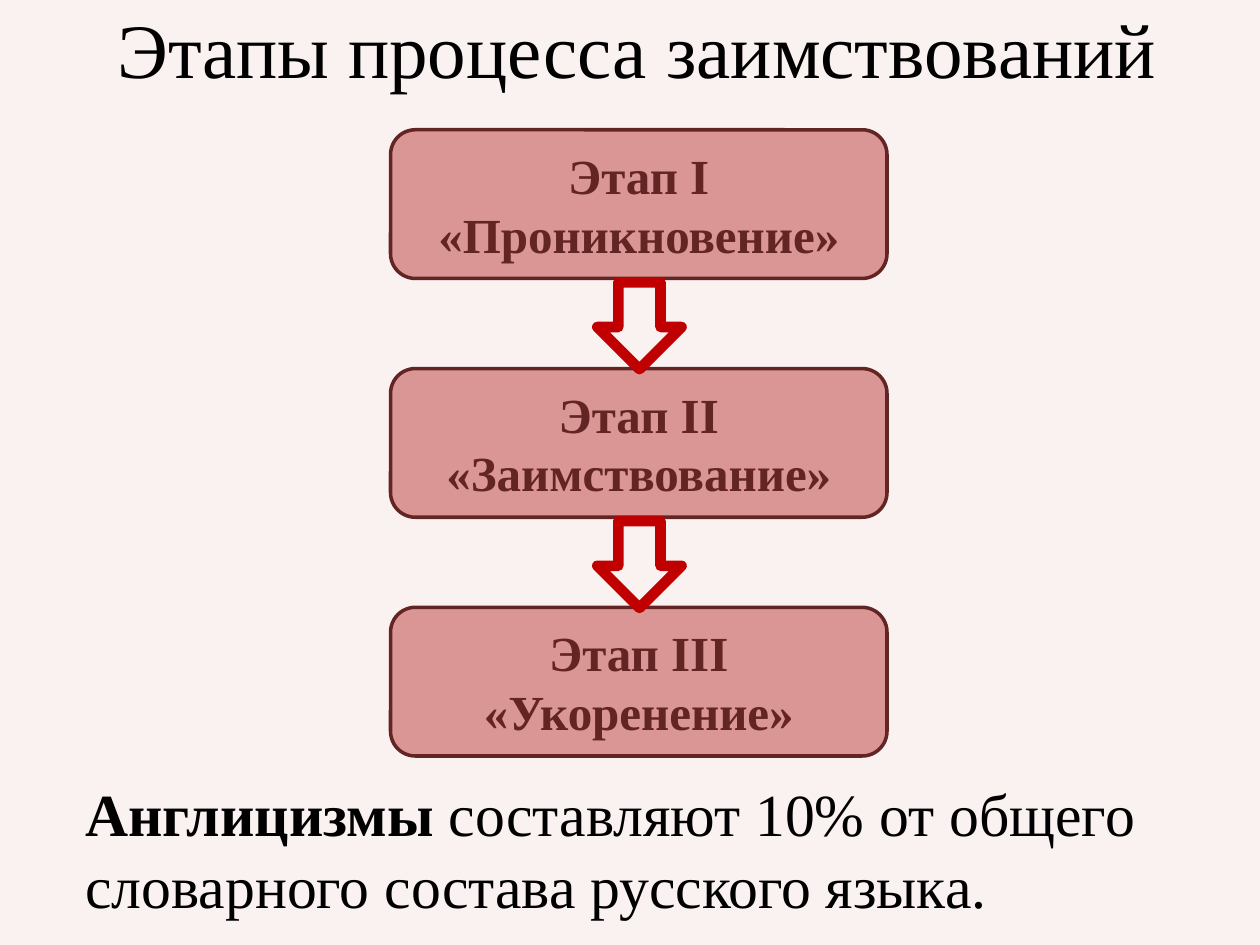
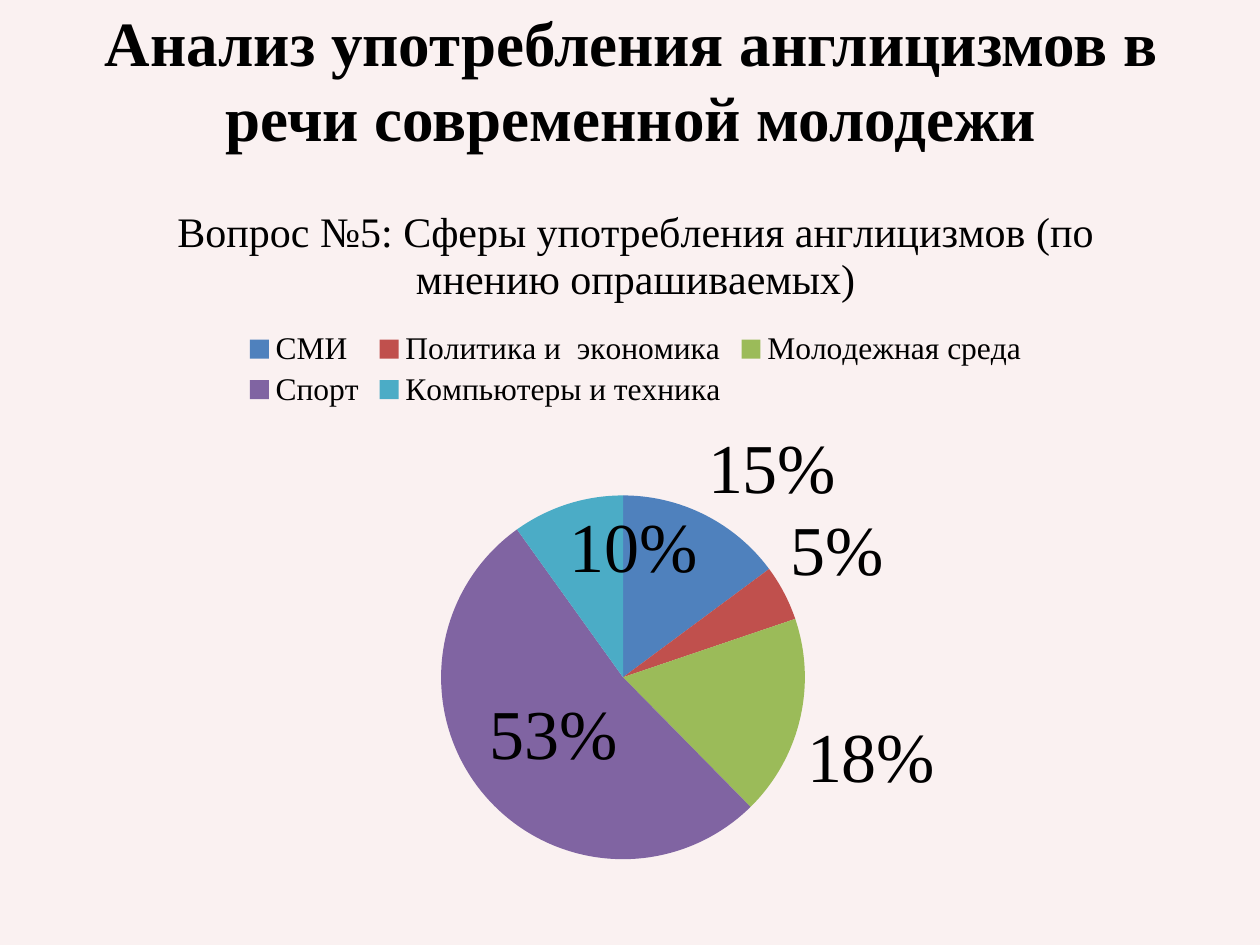
from typing import NamedTuple

from pptx import Presentation
from pptx.chart.data import CategoryChartData
from pptx.dml.color import RGBColor
from pptx.enum.chart import XL_CHART_TYPE, XL_LABEL_POSITION, XL_LEGEND_POSITION
from pptx.enum.shapes import MSO_SHAPE
from pptx.enum.text import MSO_ANCHOR, PP_ALIGN
from pptx.oxml import parse_xml
from pptx.oxml.ns import nsdecls
from pptx.util import Inches, Length, Pt

# The slide is a grid of 100 columns by 75 rows.
COLS, ROWS = 100, 75
WIDTH, HEIGHT = Inches(10), Inches(7.5)

FONT = "Times New Roman"
PAPER = RGBColor(0xFA, 0xF1, 0xF1)
BLACK = RGBColor(0x00, 0x00, 0x00)
ROSE = RGBColor(0xD9, 0x96, 0x94)
WINE = RGBColor(0x63, 0x25, 0x23)
RED = RGBColor(0xC0, 0x00, 0x00)
BLUE = RGBColor(0x4F, 0x81, 0xBD)
BRICK = RGBColor(0xC0, 0x50, 0x4D)
GREEN = RGBColor(0x9B, 0xBB, 0x59)
PURPLE = RGBColor(0x80, 0x64, 0xA2)
TEAL = RGBColor(0x4B, 0xAC, 0xC6)


class Area(NamedTuple):
    """Left, top, width and height in grid columns and rows."""
    col: float
    row: float
    wide: float
    high: float

    def place(self) -> tuple[Length, ...]:
        x, y = WIDTH / COLS, HEIGHT / ROWS
        return tuple(Length(round(n)) for n in
                     (self.col * x, self.row * y, self.wide * x, self.high * y))


class Sphere(NamedTuple):
    name: str
    share: int
    color: RGBColor
    spot: XL_LABEL_POSITION


STAGES = ["Этап I\n«Проникновение»", "Этап II\n«Заимствование»",
          "Этап III\n«Укоренение»"]
STAGE = Area(31, 10.3, 39.4, 11.8)
ARROW = Area(47.4, 22.4, 6.7, 6.9)
STEP = 18.95

OUT, MID, END = (XL_LABEL_POSITION.OUTSIDE_END, XL_LABEL_POSITION.CENTER,
                 XL_LABEL_POSITION.INSIDE_END)
SPHERES = [
    Sphere("СМИ", 15, BLUE, OUT),
    Sphere("Политика и  экономика", 5, BRICK, OUT),
    Sphere("Молодежная среда", 18, GREEN, OUT),
    Sphere("Спорт", 53, PURPLE, MID),
    Sphere("Компьютеры и техника", 10, TEAL, END),
]
CHART = Area(2.8, 13.9, 95.3, 59.1)
PIE = Area(35, 39.3, 28.9, 28.9)


def style(font, size: float, color: RGBColor = BLACK, bold: bool = False) -> None:
    font.name, font.size, font.bold = FONT, Pt(size), bold
    font.color.rgb = color


def write(shape, text: str, *, size: float, color: RGBColor = BLACK,
          bold: bool = False, lead: str = "",
          align: PP_ALIGN = PP_ALIGN.CENTER) -> None:
    """Fill a shape with one paragraph per line, after an optional bold lead."""
    frame = shape.text_frame
    frame.word_wrap = True
    frame.vertical_anchor = MSO_ANCHOR.MIDDLE
    for i, line in enumerate(text.split("\n")):
        para = frame.add_paragraph() if i else frame.paragraphs[0]
        para.alignment = align
        parts = [(line, bold)]
        if lead and i == 0:
            parts.insert(0, (lead, True))
        for words, heavy in parts:
            run = para.add_run()
            run.text = words
            style(run.font, size, color, heavy)


def label(slide, area: Area, text: str, **form) -> None:
    write(slide.shapes.add_textbox(*area.place()), text, **form)


def draw(slide, kind: MSO_SHAPE, area: Area, line: RGBColor, width: float,
         fill: RGBColor | None = None):
    shape = slide.shapes.add_shape(kind, *area.place())
    shape.shadow.inherit = False
    shape.line.color.rgb = line
    shape.line.width = Pt(width)
    if fill is None:
        shape.fill.background()
    else:
        shape.fill.solid()
        shape.fill.fore_color.rgb = fill
    return shape


def start(deck, title: str, area: Area, **form):
    """Add a slide with the shared background and a title."""
    slide = deck.slides.add_slide(deck.slide_layouts[6])
    slide.background.fill.solid()
    slide.background.fill.fore_color.rgb = PAPER
    label(slide, area, title, **form)
    return slide


def fix_plot(chart, pie: Area, frame: Area) -> None:
    """Pin the pie to its place inside the chart frame."""
    spots = {"x": (pie.col - frame.col) / frame.wide,
             "y": (pie.row - frame.row) / frame.high,
             "w": pie.wide / frame.wide, "h": pie.high / frame.high}
    tags = "".join(f'<c:{key} val="{val:.3f}"/>' for key, val in spots.items())
    layout = parse_xml(
        f'<c:layout {nsdecls("c")}><c:manualLayout>'
        '<c:layoutTarget val="inner"/><c:xMode val="edge"/><c:yMode val="edge"/>'
        f'{tags}</c:manualLayout></c:layout>')
    plot = chart.plots[0]._element.getparent()
    for old in plot.xpath("c:layout"):
        plot.remove(old)
    plot.insert(0, layout)


def add_stages(deck) -> None:
    slide = start(deck, "Этапы процесса заимствований",
                  Area(5.6, -2.5, 90, 12.5), size=44)
    for i, text in enumerate(STAGES):
        area = STAGE._replace(row=STAGE.row + i * STEP)
        box = draw(slide, MSO_SHAPE.ROUNDED_RECTANGLE, area, WINE, 2, ROSE)
        write(box, text, size=28, color=WINE, bold=True)
    for i in range(len(STAGES) - 1):
        area = ARROW._replace(row=ARROW.row + i * STEP)
        draw(slide, MSO_SHAPE.DOWN_ARROW, area, RED, 6)
    label(slide, Area(5.8, 61.1, 90, 12.5),
          "составляют 10% от общего словарного состава русского языка.",
          lead="Англицизмы ", size=34.1, align=PP_ALIGN.LEFT)


def add_survey(deck) -> None:
    slide = start(deck, "Анализ употребления англицизмов в речи современной молодежи",
                  Area(5.1, 0, 90, 12.5), size=36, bold=True)
    data = CategoryChartData(number_format='0"%"')
    data.categories = [item.name for item in SPHERES]
    data.add_series("Series 1", [item.share for item in SPHERES])
    chart = slide.shapes.add_chart(XL_CHART_TYPE.PIE, *CHART.place(), data).chart
    chart.font.name, chart.font.size = "Calibri", Pt(10)
    chart.font.color.rgb = BLACK

    chart.has_title = True
    para = chart.chart_title.text_frame.paragraphs[0]
    run = para.add_run()
    run.text = "Вопрос №5: Сферы употребления англицизмов (по мнению опрашиваемых)"
    style(run.font, 24)

    chart.has_legend = True
    chart.legend.position = XL_LEGEND_POSITION.TOP
    chart.legend.include_in_layout = False
    style(chart.legend.font, 18)

    plot = chart.plots[0]
    plot.vary_by_categories = True
    for i, item in enumerate(SPHERES):
        point = plot.series[0].points[i]
        point.format.fill.solid()
        point.format.fill.fore_color.rgb = item.color
        style(point.data_label.font, 40)
        point.data_label.position = item.spot
    fix_plot(chart, PIE, CHART)


def main() -> None:
    deck = Presentation()
    deck.slide_width, deck.slide_height = WIDTH, HEIGHT
    add_stages(deck)
    add_survey(deck)
    deck.save("out.pptx")


if __name__ == "__main__":
    main()
